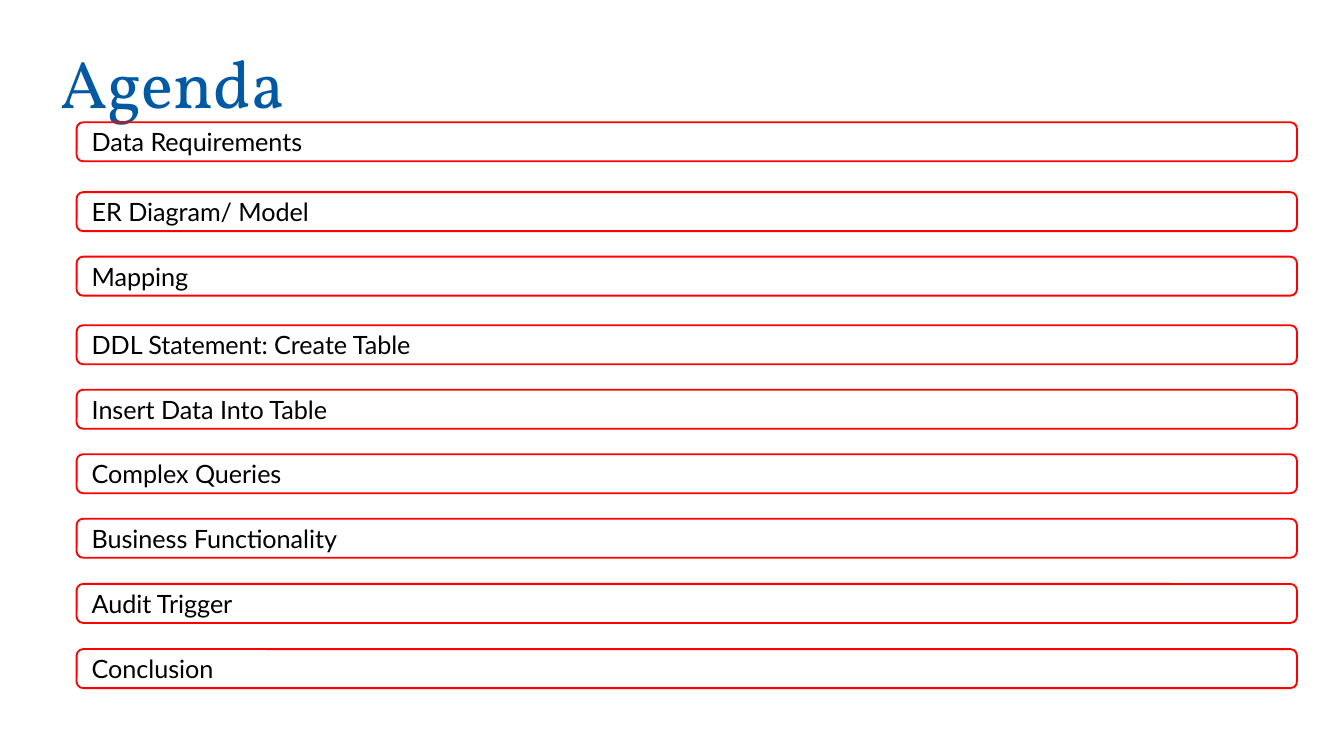
import pptx
import pptx.util
import pptx.dml.color
import pptx.enum.shapes
import pptx.enum.text
from dataclasses import dataclass

EMU_PER_PX = 4572


@dataclass(frozen=True)
class Theme:
    title_font: str = "Vollkorn"
    title_size: float = 36
    title_color: str = "0059A2"
    item_font: str = "Lato"
    item_size: float = 13.5
    item_color: str = "000000"
    outline: str = "FF0000"
    outline_width: float = 1


THEME = Theme()

AGENDA = [
    (182, "Data Requirements"),
    (286, "ER Diagram/ Model"),
    (382, "Mapping"),
    (484, "DDL Statement: Create Table"),
    (580, "Insert Data Into Table"),
    (676, "Complex Queries"),
    (772, "Business Functionality"),
    (869, "Audit Trigger"),
    (966, "Conclusion"),
]


def px(n):
    return pptx.util.Emu(n * EMU_PER_PX)


def rgb(value):
    return pptx.dml.color.RGBColor.from_string(value)


def set_text(sp, text, font, size, color):
    tf = sp.text_frame
    tf.text = text
    tf.word_wrap = True
    tf.vertical_anchor = pptx.enum.text.MSO_ANCHOR.MIDDLE
    p = tf.paragraphs[0]
    p.alignment = pptx.enum.text.PP_ALIGN.LEFT
    r = p.runs[0]
    r.font.name = font
    r.font.size = pptx.util.Pt(size)
    r.font.color.rgb = rgb(color)
    return p


def add_title(s, text):
    sp = s.shapes.add_textbox(px(70), px(0), px(1930), px(258))
    p = set_text(sp, text, THEME.title_font, THEME.title_size, THEME.title_color)
    p.line_spacing = 0.9


def add_agenda_item(s, top, text):
    sp = s.shapes.add_shape(
        pptx.enum.shapes.MSO_SHAPE.ROUNDED_RECTANGLE,
        px(114), px(top), px(1816), px(58),
    )
    sp.shadow.inherit = False
    sp.fill.background()
    sp.line.color.rgb = rgb(THEME.outline)
    sp.line.width = pptx.util.Pt(THEME.outline_width)
    set_text(sp, text, THEME.item_font, THEME.item_size, THEME.item_color)


def main():
    prs = pptx.Presentation()
    prs.slide_width, prs.slide_height = px(2000), px(1125)
    s = prs.slides.add_slide(prs.slide_layouts[6])
    add_title(s, "Agenda")
    for top, text in AGENDA:
        add_agenda_item(s, top, text)
    prs.save("out.pptx")


if __name__ == "__main__":
    main()
